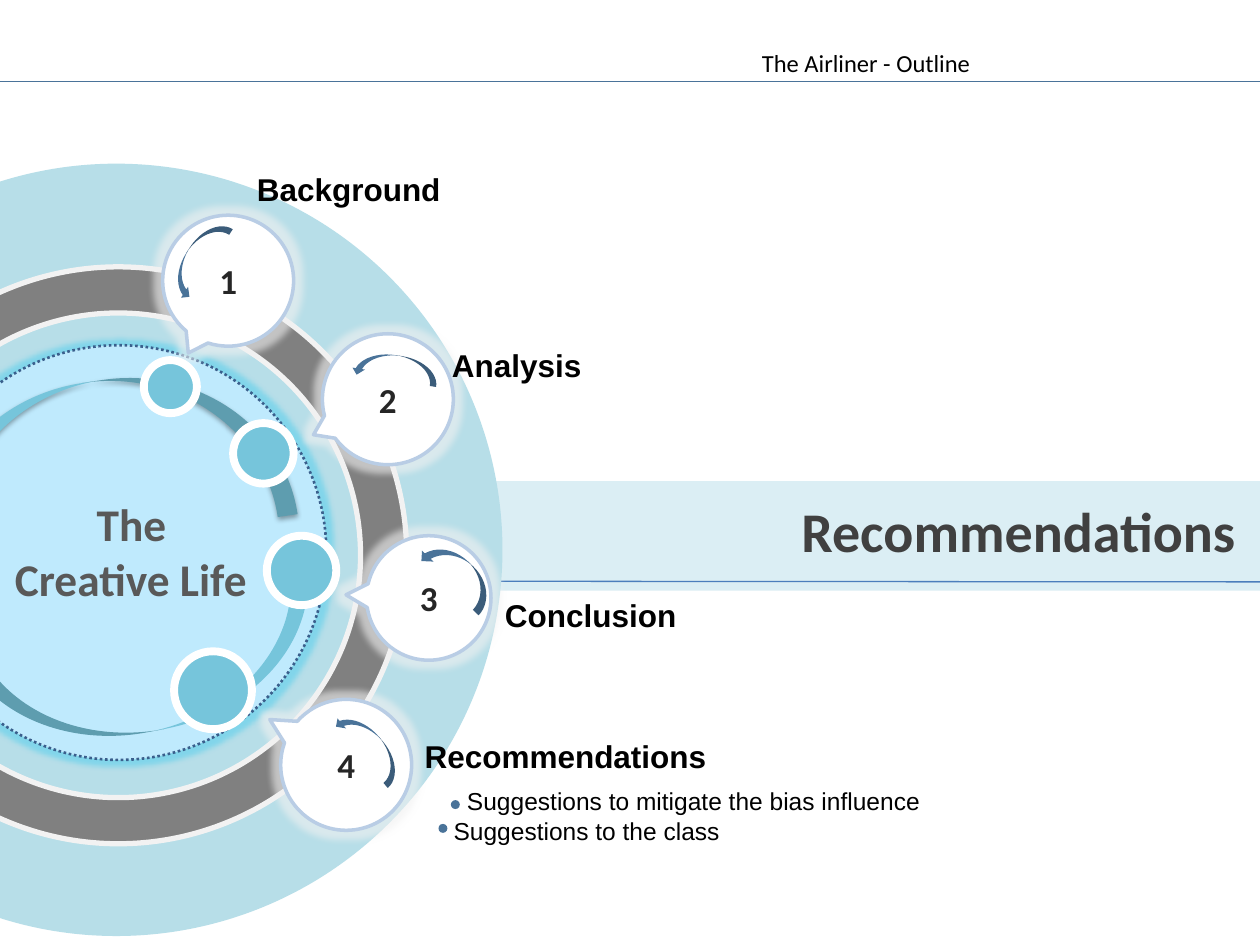
import lxml.etree
import pptx
import pptx.dml.color
import pptx.enum.dml
import pptx.enum.shapes
import pptx.enum.text
import pptx.oxml.ns
import pptx.util

Cm, Pt = pptx.util.Cm, pptx.util.Pt
SHAPE = pptx.enum.shapes.MSO_SHAPE
ALIGN = pptx.enum.text.PP_ALIGN
ANCHOR = pptx.enum.text.MSO_ANCHOR
qn = pptx.oxml.ns.qn

COLORS = {
    "white": "FFFFFF", "black": "000000", "band": "DBEEF4", "disc": "B7DEE8",
    "track": "808080", "track_edge": "F2F2F2", "core": "BFEAFD",
    "core_edge": "3A5F8C", "core_glow": "5FD0EC", "callout_edge": "B9CDE5",
    "number": "262626", "steel": "4A7399", "rule": "4B7EBC", "bead": "76C5DB",
    "core_text": "595959", "heading": "404040",
}
NUMBER = {"name": "Calibri", "size": Pt(20), "bold": True}
CORE = {"name": "Calibri", "size": Pt(25.9), "bold": True}
HEADING = {"name": "Calibri", "size": Pt(32), "bold": True}
LABEL = {"name": "Arial", "size": Pt(18), "bold": True}
LIST = {"name": "Arial", "size": Pt(14), "bold": False}
HEADER = {"name": "Calibri", "size": Pt(14), "bold": False}


def rgb(color):
    return pptx.dml.color.RGBColor.from_string(COLORS[color])


class OutlineSlide:
    def __init__(self, slide):
        self.slide = slide
        self.shapes = slide.shapes

    def shape(self, preset, box, fill, line=None, width=0, adjust=(), rotation=0):
        item = self.shapes.add_shape(preset, *map(Cm, box))
        item.shadow.inherit = False
        item.rotation = rotation
        for index, value in enumerate(adjust):
            item.adjustments[index] = value
        item.fill.solid()
        item.fill.fore_color.rgb = rgb(fill)
        if line:
            item.line.color.rgb = rgb(line)
            item.line.width = Pt(width)
        else:
            item.line.fill.background()
        return item

    def circle(self, left, top, size, fill, line=None, width=0):
        return self.shape(SHAPE.OVAL, (left, top, size, size), fill, line, width)

    def effect(self, item, kind, color, alpha, **lengths):
        """Put a glow or outer shadow into the shape's effect list."""
        effects = item.element.spPr.find(qn("a:effectLst"))
        node = lxml.etree.SubElement(effects, qn("a:" + kind))
        for key, value in lengths.items():
            node.set(key, str(int(value)))
        tint = lxml.etree.SubElement(node, qn("a:srgbClr"), val=COLORS[color])
        lxml.etree.SubElement(tint, qn("a:alpha"), val=str(alpha * 1000))

    def rule(self, start_y, end_y, color):
        line = self.shapes.add_connector(
            pptx.enum.shapes.MSO_CONNECTOR.STRAIGHT, 0, Cm(start_y), Cm(25.4), Cm(end_y))
        line.line.color.rgb = rgb(color)
        line.line.width = Pt(0.75)
        lxml.etree.SubElement(line.element.spPr, qn("a:effectLst"))

    def set_text(self, item, lines, font, color, align=ALIGN.LEFT,
                 anchor=ANCHOR.TOP, wrap=True, first_indent=0):
        frame = item.text_frame
        frame.text = "\n".join(lines)
        settings = {"word_wrap": wrap, "vertical_anchor": anchor,
                    "auto_size": pptx.enum.text.MSO_AUTO_SIZE.NONE}
        for key, value in settings.items():
            setattr(frame, key, value)
        for index, paragraph in enumerate(frame.paragraphs):
            paragraph.alignment = align
            paragraph.space_before = Pt(0)
            properties = paragraph._p.get_or_add_pPr()
            properties.set("marL", str(0 if index else int(Cm(first_indent))))
            properties.set("indent", "0")
            lxml.etree.SubElement(properties, qn("a:buNone"))
            for run in paragraph.runs:
                run.font.color.rgb = rgb(color)
                for key, value in font.items():
                    setattr(run.font, key, value)

    def text(self, box, lines, font, color, **layout):
        self.set_text(self.shapes.add_textbox(*map(Cm, box)), lines, font, color, **layout)

    def placeholder(self, index, box, lines, font, color, **layout):
        """Fill a template placeholder and bring it in front of what is drawn."""
        item = self.slide.placeholders[index]
        for key, value in zip(("left", "top", "width", "height"), box):
            setattr(item, key, Cm(value))
        self.set_text(item, lines, font, color, **layout)
        self.shapes.element.append(item.element)

    def callout(self, number, left, top, size, tail):
        bubble = self.shape(SHAPE.OVAL_CALLOUT, (left, top, size, size),
                            "white", "callout_edge", 2, tail)
        self.effect(bubble, "glow", "track_edge", 60, rad=Pt(8))
        self.set_text(bubble, [str(number)], NUMBER, "number", ALIGN.CENTER, ANCHOR.MIDDLE)

    def arrow(self, box, rotation, fill="steel", adjust=()):
        return self.shape(SHAPE.CURVED_UP_ARROW, box, fill, adjust=adjust, rotation=rotation)


def main():
    deck = pptx.Presentation()
    deck.slide_width, deck.slide_height = Cm(25.4), Cm(19.05)
    page = OutlineSlide(deck.slides.add_slide(deck.slide_layouts[1]))

    page.shape(SHAPE.RECTANGLE, (8.31, 9.7, 17.09, 2.21), "band")
    page.rule(11.71, 11.73, "rule")
    page.circle(-5.44, 3.3, 15.57, "disc")
    page.shape(SHAPE.DONUT, (-3.43, 5.38, 11.63, 11.63), "track", "track_edge", 3, [0.08])
    core = page.circle(-1.78, 6.96, 8.36, "core", "core_edge", 1.5)
    core.line.dash_style = pptx.enum.dml.MSO_LINE.ROUND_DOT
    page.effect(core, "glow", "core_glow", 60, rad=Pt(6))

    callouts = [
        (3.28, 4.34, 2.64, (-0.304, 0.552)),
        (6.5, 6.73, 2.64, (-0.568, 0.271)),
        (7.39, 10.8, 2.51, (-0.665, -0.025)),
        (5.66, 14.1, 2.64, (-0.584, -0.346)),
    ]
    for number, callout in enumerate(callouts, 1):
        page.callout(number, *callout)
    for left, top, height, rotation in [
        (3.12, 4.95, 0.53, 122.7), (7.09, 7.16, 0.51, 188.8),
        (8.36, 11.25, 0.64, 223.5), (6.58, 14.78, 0.53, 229.8),
    ]:
        page.arrow((left, top, 1.75, height), rotation)

    upper_sweep = page.arrow((-1.57, 7.67, 7.37, 3.25), 171.6, "bead", (0.124, 0.105, 0.234))
    page.effect(upper_sweep, "outerShdw", "black", 35,
                blurRad=Pt(3.1), dist=Pt(1.8), dir=90 * 60000, rotWithShape=0)
    page.arrow((-0.74, 11.91, 7.49, 2.82), 349.3, "bead", (0.124, 0.306, 0.218))
    for left, top, size in [(2.9, 7.26, 1.07), (4.7, 8.53, 1.22),
                            (5.38, 10.8, 1.4), (3.51, 13.13, 1.57)]:
        page.circle(left, top, size, "bead", "white", 4.5)

    page.text((0.05, 9.88, 5.46, 2.46), ["The", "Creative Life"], CORE, "core_text",
              first_indent=1.65)
    page.placeholder(0, (15.9, 9.88, 9.35, 1.63), ["Recommendations"], HEADING, "heading",
                     wrap=False)
    page.placeholder(1, (8.89, 15.72, 10.95, 1.45),
                     ["Suggestions to mitigate the bias influence",
                      "Suggestions to the class"], LIST, "black", first_indent=0.27)
    for left, top in [(9.09, 16.13), (8.84, 16.61)]:
        page.circle(left, top, 0.18, "steel")

    page.rule(1.65, 1.65, "steel")
    for section, left, top, width in [
        ("Analysis", 8.86, 6.86, 5.38), ("Background", 4.93, 3.3, 5.38),
        ("Conclusion", 9.93, 11.89, 5.38), ("Recommendations", 8.31, 14.73, 6.4),
    ]:
        page.text((left, top, width, 1.02), [section], LABEL, "black")
    page.text((15.11, 0.84, 6.78, 0.86), ["The Airliner - Outline"], HEADER, "black")
    deck.save("out.pptx")


if __name__ == "__main__":
    main()
